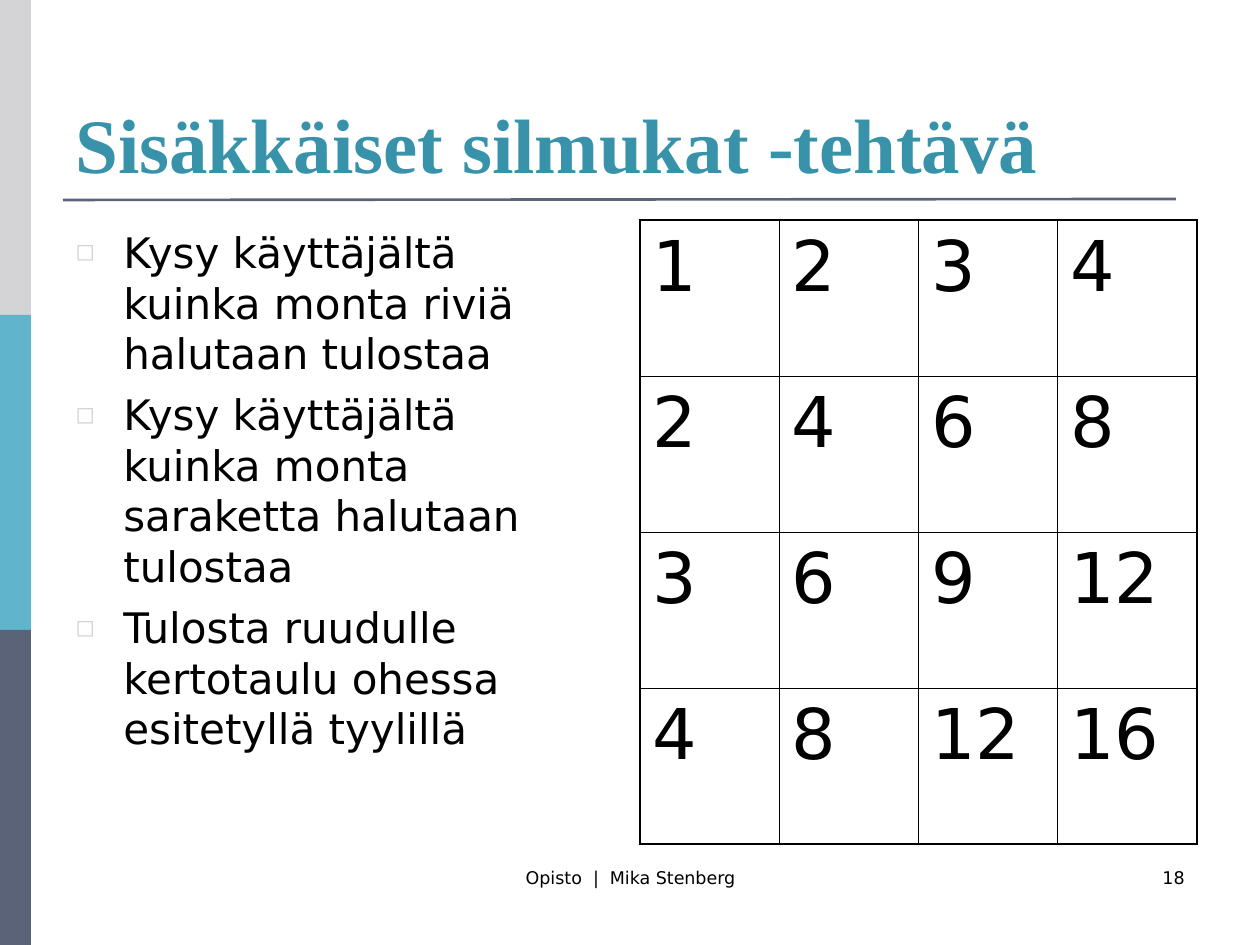
from lxml.etree import SubElement
from pptx import Presentation
from pptx.dml.color import RGBColor
from pptx.enum.shapes import MSO_CONNECTOR as CONN, MSO_SHAPE as SHAPE
from pptx.enum.text import MSO_ANCHOR as ANCHOR, PP_ALIGN as ALIGN
from pptx.oxml.ns import qn
from pptx.util import Emu, Pt

PX_PER_INCH = 126
BLACK, GREY, TEAL, SLATE, TITLE = "000000", "D4D4D6", "60B5CC", "5A6378", "3792AA"


def px(n):
    return Emu(round(n * 914400 / PX_PER_INCH))


def rgb(value):
    return RGBColor.from_string(value)


class Deck:
    """Holds the text style and the current slide."""
    font = "DejaVu Sans"
    heading_font = "Times New Roman"

    def __init__(self, width, height):
        self.prs = Presentation()
        self.prs.slide_width, self.prs.slide_height = px(width), px(height)
        self.s = self.prs.slides.add_slide(self.prs.slide_layouts[6])

    def run(self, p, text, size, color=BLACK, font=None, bold=False):
        r = p.add_run()
        r.text = text
        r.font.name = font or self.font
        r.font.size = Pt(size)
        r.font.bold = bold
        r.font.color.rgb = rgb(color)

    def bar(self, x, y, w, h, color):
        sp = self.s.shapes.add_shape(SHAPE.RECTANGLE, px(x), px(y), px(w), px(h))
        sp.shadow.inherit = False
        sp.fill.solid()
        sp.fill.fore_color.rgb = rgb(color)
        sp.line.fill.background()

    def rule(self, x1, y1, x2, y2, color, width):
        c = self.s.shapes.add_connector(CONN.STRAIGHT, px(x1), px(y1), px(x2), px(y2))
        c.line.color.rgb = rgb(color)
        c.line.width = Pt(width)
        SubElement(c._element.spPr, qn("a:effectLst"))

    def box(self, x, y, w, h, anchor=ANCHOR.TOP):
        tf = self.s.shapes.add_textbox(px(x), px(y), px(w), px(h)).text_frame
        tf.word_wrap = True
        tf.vertical_anchor = anchor
        return tf

    def label(self, x, y, w, h, text, size, align=ALIGN.LEFT, anchor=ANCHOR.TOP, **style):
        p = self.box(x, y, w, h, anchor).paragraphs[0]
        p.alignment = align
        self.run(p, text, size, **style)

    def bullets(self, x, y, w, h, items, size, indent, right):
        tf = self.box(x, y, w, h)
        tf.margin_right = px(right)
        for i, item in enumerate(items):
            p = tf.add_paragraph() if i else tf.paragraphs[0]
            p.space_before = Pt(6)
            p.line_spacing = Pt(28.9)
            pPr = p._p.get_or_add_pPr()
            pPr.set("marL", str(px(indent)))
            pPr.set("indent", str(-px(indent)))
            SubElement(SubElement(pPr, qn("a:buClr")), qn("a:srgbClr"), val=GREY)
            SubElement(pPr, qn("a:buSzPct"), val="57000")
            SubElement(pPr, qn("a:buFont"), typeface=self.font)
            SubElement(pPr, qn("a:buChar"), char="◻")
            self.run(p, item, size)

    def borders(self, cell, widths):
        tcPr = cell._tc.get_or_add_tcPr()
        for side, width in widths.items():
            ln = SubElement(tcPr, qn("a:ln" + side), w=str(Pt(width)))
            SubElement(SubElement(ln, qn("a:solidFill")), qn("a:srgbClr"), val=BLACK)

    def table(self, x, y, w, h, rows, size, inner=0.45, outer=1.08):
        n_rows, n_cols = len(rows), len(rows[0])
        t = self.s.shapes.add_table(n_rows, n_cols, px(x), px(y), px(w), px(h)).table
        t.first_row = t.horz_banding = False
        for col in t.columns:
            col.width = px(w / n_cols)
        for row in t.rows:
            row.height = px(h / n_rows)
        for i, values in enumerate(rows):
            for j, value in enumerate(values):
                cell = t.cell(i, j)
                edges = {"L": j == 0, "R": j == n_cols - 1,
                         "T": i == 0, "B": i == n_rows - 1}
                self.borders(cell, {k: outer if e else inner for k, e in edges.items()})
                cell.fill.background()
                p = cell.text_frame.paragraphs[0]
                p.space_before = Pt(10)
                self.run(p, str(value), size)


def main():
    d = Deck(1260, 945)

    # Side bars and title rule
    for i, color in enumerate((GREY, TEAL, SLATE)):
        d.bar(0, i * 315, 31, 315, color)
    d.rule(63, 200, 1176, 199, SLATE, 1.5)

    # Footer and slide number
    d.label(431, 861, 399, 63, "Opisto  |  Mika Stenberg", 10, ALIGN.CENTER)
    d.label(903, 861, 294, 63, "18", 10, ALIGN.RIGHT)

    # Title
    d.label(63, 38, 1134, 157, "Sisäkkäiset silmukat -tehtävä", 44,
            anchor=ANCHOR.BOTTOM, color=TITLE, font=d.heading_font, bold=True)

    # Task description
    d.bullets(63, 220, 557, 624, [
        "Kysy käyttäjältä kuinka monta riviä halutaan tulostaa",
        "Kysy käyttäjältä kuinka monta saraketta halutaan tulostaa",
        "Tulosta ruudulle kertotaulu ohessa esitetyllä tyylillä",
    ], 24, indent=48, right=40)

    # Multiplication table
    products = [[a * b for b in range(1, 5)] for a in range(1, 5)]
    d.table(640, 220, 557, 624, products, 40)

    d.prs.save("out.pptx")


if __name__ == "__main__":
    main()
